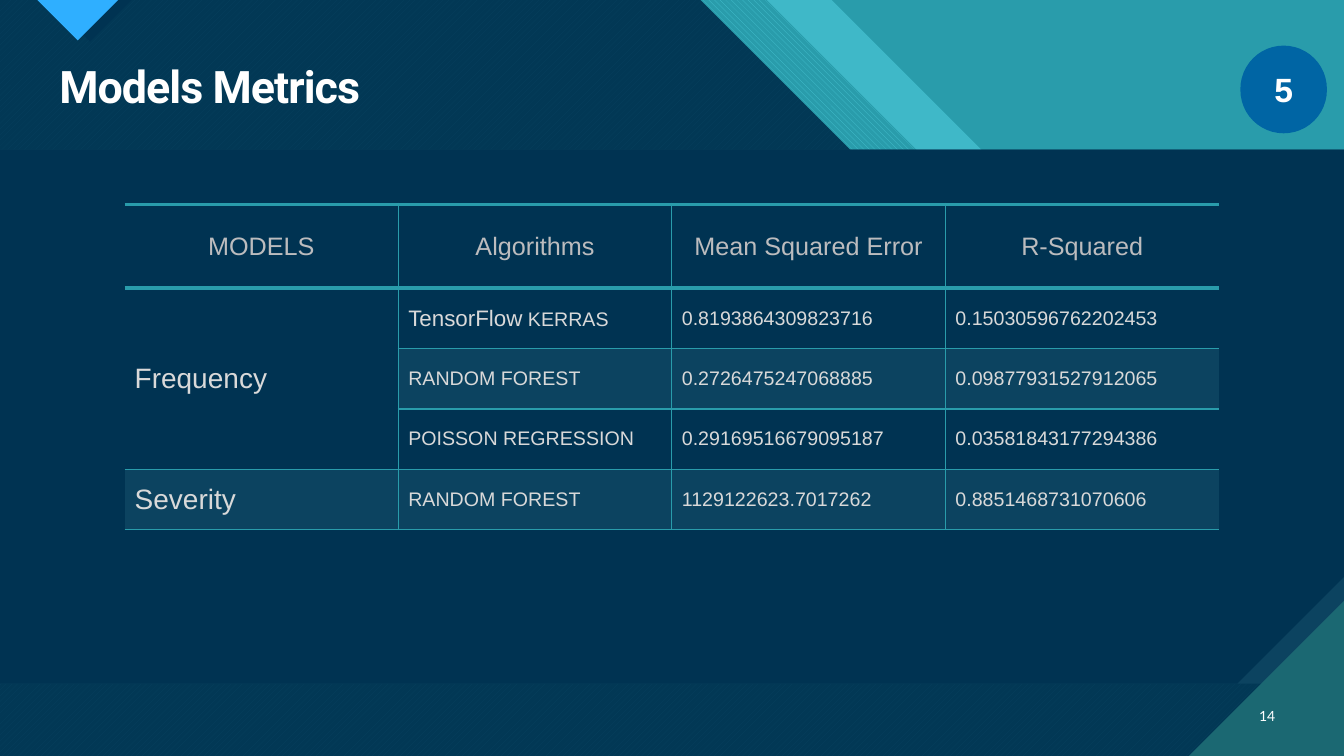
from lxml.etree import SubElement
from pptx import Presentation
from pptx.dml.color import RGBColor
from pptx.enum.dml import MSO_PATTERN
from pptx.enum.shapes import MSO_SHAPE
from pptx.enum.text import MSO_ANCHOR as ANCHOR, PP_ALIGN as ALIGN
from pptx.oxml.ns import qn
from pptx.util import Cm, Pt

NAVY, SLATE, TEAL, AQUA, PINE = "003352", "0C4360", "299CAB", "47C3D3", "1B6872"
WHITE, GREY, SILVER = "FFFFFF", "BCBCBE", "D9D9D9"
HATCH = (MSO_PATTERN.WIDE_UPWARD_DIAGONAL, AQUA, PINE)
STRIPES = (MSO_PATTERN.WIDE_DOWNWARD_DIAGONAL, AQUA, TEAL)
NO_GRID = "{2D5ABB26-0587-4C30-8999-92F81FD0307C}"
HEADERS = ["MODELS", "Algorithms", "Mean Squared Error", "R-Squared"]
ROWS = [
    ["Frequency", "TensorFlow| KERRAS", "0.8193864309823716", "0.15030596762202453"],
    ["", "RANDOM FOREST", "0.2726475247068885", "0.09877931527912065"],
    ["", "POISSON REGRESSION", "0.29169516679095187", "0.03581843177294386"],
    ["Severity", "RANDOM FOREST", "1129122623.7017262", "0.8851468731070606"],
]


def color(value):
    return RGBColor.from_string(value)


def paint(s, fill):
    if isinstance(fill, tuple):
        s.fill.patterned()
        s.fill.pattern, fore, back = fill
        s.fill.fore_color.rgb = color(fore)
        s.fill.back_color.rgb = color(back)
    else:
        s.fill.solid()
        s.fill.fore_color.rgb = color(fill)


def finish(s, fill, opacity=100):
    s.shadow.inherit = False
    s.line.fill.background()
    paint(s, fill)
    if opacity < 100:
        clr = s._element.spPr.find(qn("a:solidFill")).find(qn("a:srgbClr"))
        SubElement(clr, qn("a:alpha"), val=str(opacity * 1000))
    return s


def polygon(slide, points, fill, opacity=100):
    start, *rest = [(Cm(x), Cm(y)) for x, y in points]
    builder = slide.shapes.build_freeform(*start)
    builder.add_line_segments(rest)
    return finish(builder.convert_to_shape(), fill, opacity)


def block(slide, x, y, w, h, fill, kind=MSO_SHAPE.RECTANGLE):
    return finish(slide.shapes.add_shape(kind, Cm(x), Cm(y), Cm(w), Cm(h)), fill)


def style(r, size, font, value, bold=False):
    r.font.size = Pt(size)
    r.font.name = font
    r.font.bold = bold
    r.font.color.rgb = color(value)


def write(tf, text, size, font, value, align, bold=False):
    tf.text = text
    tf.word_wrap = True
    tf.vertical_anchor = ANCHOR.MIDDLE
    p = tf.paragraphs[0]
    p.alignment = align
    style(p.runs[0], size, font, value, bold)
    return p


def add_backdrop(slide, x, y, w, h):
    right, bottom, bend = x + w, y + h, 7.55
    block(slide, x, y, w, h, TEAL)
    layers = [(20.96, AQUA, 74), (19.32, STRIPES, 100), (17.65, HATCH, 100), (17.65, NAVY, 90)]
    for edge, fill, opacity in layers:
        shelf = x + edge + 10.7
        polygon(slide, [(x, y), (x + edge, y), (x + edge + bend, y + bend),
                        (shelf, y + bend), (right, y + bend + right - shelf),
                        (right, bottom), (x, bottom)], fill, opacity)
    for left, depth, fill in [(1.22, 1.05, NAVY), (0.94, 1.02, "2FAFFF")]:
        polygon(slide, [(x + left, y), (x + left + 2 * depth, y),
                        (x + left + depth, y + depth)], fill)


def add_body(slide, x, y, w, h):
    for snip, fill in [(0, SLATE), (0.2, NAVY)]:
        s = block(slide, x, y, w, h, fill, MSO_SHAPE.SNIP_1_RECTANGLE)
        s.adjustments[0] = snip
        s._element.spPr.xfrm.set("flipV", "1")


def add_header(slide, x, y, w):
    s = slide.shapes.title
    s.left, s.top, s.width, s.height = Cm(x + 1.24), Cm(y + 1.5), Cm(31.14), Cm(1.5)
    p = write(s.text_frame, "Models Metrics", 32, "Roboto", WHITE, ALIGN.LEFT, True)
    p.line_spacing = 0.9
    p.runs[0].font._element.set("spc", "-70")
    s = block(slide, x + w - 2.61, y + 1.15, 2.18, 2.21, "0065A4",
              MSO_SHAPE.ROUNDED_RECTANGLE)
    s.adjustments[0] = 0.5
    write(s.text_frame, "5", 24, "Arial", WHITE, ALIGN.CENTER, True)


def add_corner(slide, x, y, side):
    right, bottom = x + side, y + side
    polygon(slide, [(x, bottom), (right, bottom), (right, y)], PINE)
    s = slide.shapes.add_textbox(Cm(right - 2.6), Cm(bottom - 1.51), Cm(1.12), Cm(1.02))
    write(s.text_frame, "14", 10, "Lato", WHITE, ALIGN.RIGHT)


def add_borders(cell, widths):
    tcPr = cell._tc.get_or_add_tcPr()
    for side, width in widths.items():
        ln = SubElement(tcPr, qn(f"a:ln{side}"), w=str(Pt(width)))
        if width:
            fill = SubElement(ln, qn("a:solidFill"))
            SubElement(fill, qn("a:srgbClr"), val=TEAL)
        else:
            SubElement(ln, qn("a:noFill"))


def add_metrics(slide, x, y, w, h):
    data = [HEADERS] + ROWS
    rows, cols = len(data), len(HEADERS)
    frame = slide.shapes.add_table(rows, cols, Cm(x), Cm(y), Cm(w), Cm(h))
    table = frame.table
    table._tbl.tblPr.find(qn("a:tableStyleId")).text = NO_GRID
    head = 2.11
    for i, row in enumerate(table.rows):
        row.height = Cm((h - head) / (rows - 1) if i else head)
    for column in table.columns:
        column.width = Cm(w / cols)
    for i, texts in enumerate(data):
        for j, text in enumerate(texts):
            cell = table.cell(i, j)
            add_borders(cell, {"L": int(j > 0), "R": int(j < cols - 1),
                               "T": 3 if i < 2 else 1, "B": 1 if i else 3})
            if i and i % 2 == 0 and text:
                paint(cell, SLATE)
            else:
                cell.fill.background()
            cell.vertical_anchor = ANCHOR.MIDDLE
            p = cell.text_frame.paragraphs[0]
            p.alignment = ALIGN.JUSTIFY if i else ALIGN.CENTER
            parts = text.split("|") if text else []
            for k, part in enumerate(parts):
                r = p.add_run()
                r.text = part
                if i == 0:
                    size = 18
                elif j == 0:
                    size = 20
                else:
                    size = 16 if k < len(parts) - 1 else 14
                style(r, size, "Arial", SILVER if i else GREY)
    table.cell(1, 0).merge(table.cell(3, 0))


def main():
    prs = Presentation()
    prs.slide_width, prs.slide_height = Cm(33.87), Cm(19.05)
    slide = prs.slides.add_slide(prs.slide_layouts[5])
    paint(slide.background, AQUA)
    add_backdrop(slide, 0, 0, 33.87, 19.05)
    add_body(slide, 0, 3.77, 33.87, 13.46)
    add_corner(slide, 29.96, 15.14, 3.91)
    add_header(slide, 0, 0, 33.87)
    add_metrics(slide, 3.14, 5.15, 27.58, 8.2)
    title = slide.shapes.title._element
    title.getparent().append(title)
    prs.save("out.pptx")


if __name__ == "__main__":
    main()
